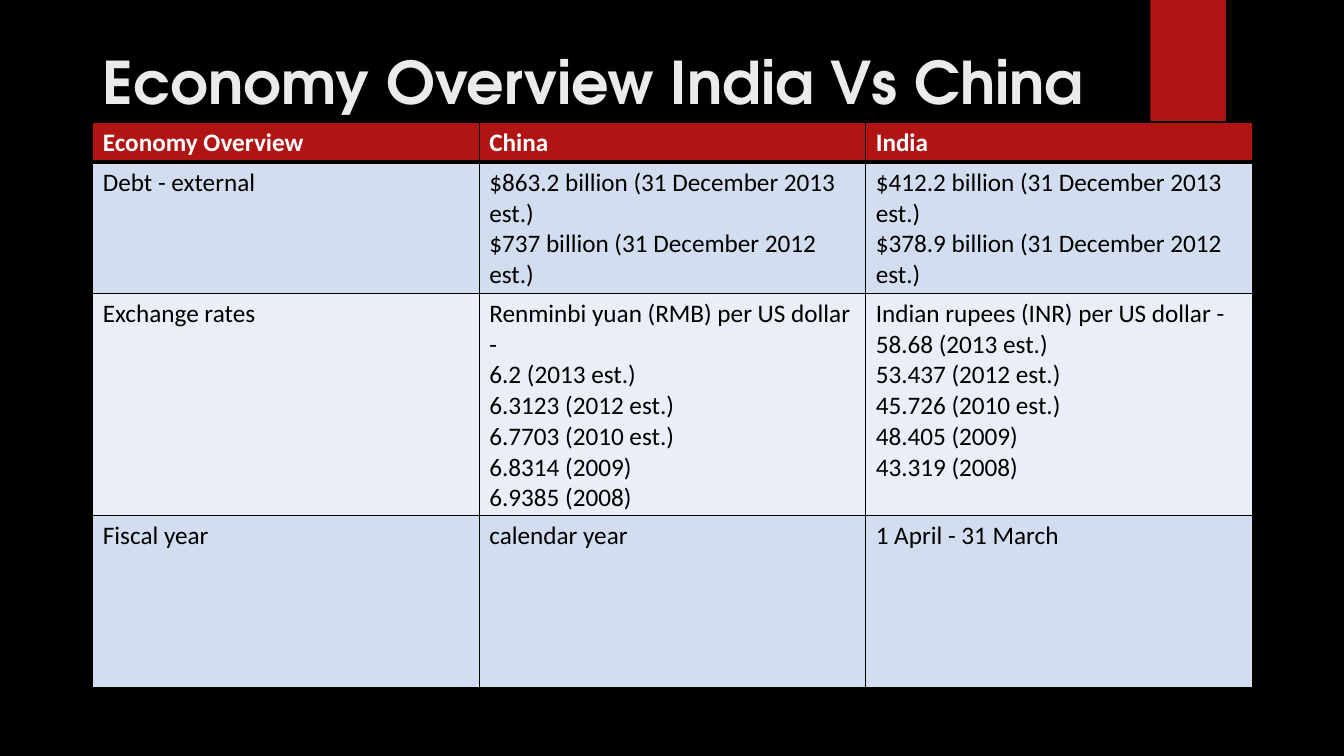
from lxml import etree
from pptx import Presentation
from pptx.dml.color import RGBColor
from pptx.enum.shapes import MSO_SHAPE
from pptx.enum.text import MSO_ANCHOR
from pptx.oxml.ns import qn
from pptx.util import Inches, Pt

RECTANGLE = MSO_SHAPE.RECTANGLE
MIDDLE = MSO_ANCHOR.MIDDLE

TITLE = "Economy Overview India Vs China"
ROWS = [
    (["Economy Overview"], ["China"], ["India"]),
    (
        ["Debt - external"],
        ["$863.2 billion (31 December 2013 est.)", "$737 billion (31 December 2012 est.)"],
        ["$412.2 billion (31 December 2013 est.)", "$378.9 billion (31 December 2012 est.)"],
    ),
    (
        ["Exchange rates"],
        ["Renminbi yuan (RMB) per US dollar -", "6.2 (2013 est.)", "6.3123 (2012 est.)",
         "6.7703 (2010 est.)", "6.8314 (2009)", "6.9385 (2008)"],
        ["Indian rupees (INR) per US dollar -", "58.68 (2013 est.)", "53.437 (2012 est.)",
         "45.726 (2010 est.)", "48.405 (2009)", "43.319 (2008)"],
    ),
    (["Fiscal year"], ["calendar year"], ["1 April - 31 March"]),
]
ROW_HEIGHTS = [0.4, 1.3, 2.2, 1.71]
LEFT, TABLE_TOP, WIDTH = 0.92, 1.21, 11.5
BLACK, RED, WHITE, TITLE_GREY = "000000", "B01513", "FFFFFF", "EBEBEB"
BANDS = ["EAEFF7", "D2DEEF"]
HARD_SPACE = chr(160)


def paint(fill, color):
    fill.solid()
    fill.fore_color.rgb = RGBColor.from_string(color)


def add_span(para, text, font, size, color, bold):
    span = para.add_run()
    span.text = text
    span.font.name = font
    span.font.size = Pt(size)
    span.font.bold = bold
    span.font.color.rgb = RGBColor.from_string(color)


def add_borders(cell, widths):
    properties = cell._tc.get_or_add_tcPr()
    for position, (side, width) in enumerate(widths.items()):
        line = etree.Element(qn("a:" + side), w=str(Pt(width)))
        fill = etree.SubElement(line, qn("a:solidFill"))
        etree.SubElement(fill, qn("a:srgbClr"), val=BLACK)
        properties.insert(position, line)


def fill_cell(cell, lines, row):
    header = row == 0
    paint(cell.fill, RED if header else BANDS[row % 2])
    add_borders(cell, {"lnL": 1, "lnR": 1, "lnT": 3 if row == 1 else 1, "lnB": 3 if header else 1})
    para = cell.text_frame.paragraphs[0]
    for number, line in enumerate(lines, 1):
        last = number == len(lines)
        add_span(para, line if last else line + HARD_SPACE,
                 "Calibri", 18, WHITE if header else BLACK, header)
        if not last:
            para.add_line_break()


def main():
    deck = Presentation()
    deck.slide_width, deck.slide_height = Inches(13.33), Inches(7.5)
    page = deck.slides.add_slide(deck.slide_layouts[6])
    paint(page.background.fill, BLACK)

    ribbon = page.shapes.add_shape(RECTANGLE, Inches(11.41), 0, Inches(0.75), Inches(1.25))
    ribbon.shadow.inherit = False
    paint(ribbon.fill, RED)
    ribbon.line.fill.background()

    box = page.shapes.add_textbox(Inches(LEFT), Inches(0.4), Inches(WIDTH), Inches(0.81))
    frame = box.text_frame
    frame.word_wrap = True
    frame.vertical_anchor = MIDDLE
    add_span(frame.paragraphs[0], TITLE, "TeX Gyre Adventor", 42, TITLE_GREY, True)

    table = page.shapes.add_table(
        len(ROWS), len(ROWS[0]), Inches(LEFT), Inches(TABLE_TOP),
        Inches(WIDTH), Inches(sum(ROW_HEIGHTS))).table
    for row, (height, entries) in enumerate(zip(ROW_HEIGHTS, ROWS)):
        table.rows[row].height = Inches(height)
        for column, lines in enumerate(entries):
            fill_cell(table.cell(row, column), lines, row)

    deck.save("out.pptx")


if __name__ == "__main__":
    main()
